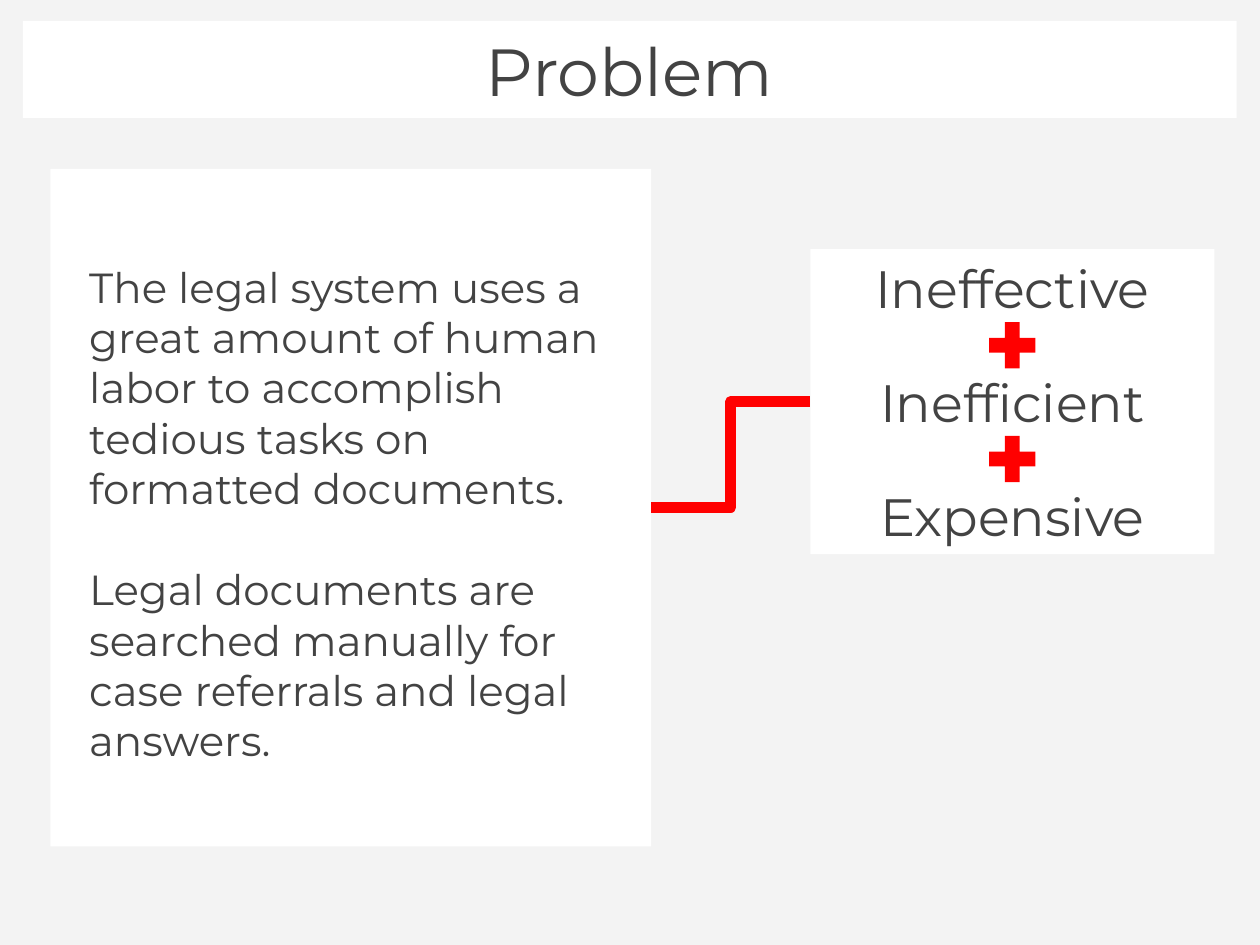
from lxml import etree
from pptx import Presentation
from pptx.dml.color import RGBColor
from pptx.enum.shapes import MSO_CONNECTOR, MSO_SHAPE
from pptx.enum.text import MSO_ANCHOR, PP_ALIGN
from pptx.oxml.ns import qn
from pptx.util import Pt

RECT, PLUS = MSO_SHAPE.RECTANGLE, MSO_SHAPE.MATH_PLUS
ELBOW = MSO_CONNECTOR.ELBOW
TOP, MIDDLE = MSO_ANCHOR.TOP, MSO_ANCHOR.MIDDLE
LEFT, CENTER = PP_ALIGN.LEFT, PP_ALIGN.CENTER

PALE = RGBColor(0xF3, 0xF3, 0xF3)
WHITE = RGBColor(0xFF, 0xFF, 0xFF)
DARK = RGBColor(0x43, 0x43, 0x43)
RED = RGBColor(0xFF, 0x00, 0x00)


def add_block(kind, x, y, w, h, color):
    shape = slide.shapes.add_shape(kind, Pt(x), Pt(y), Pt(w), Pt(h))
    shape.shadow.inherit = False
    shape.fill.solid()
    shape.fill.fore_color.rgb = color
    shape.line.fill.background()
    return shape


def write(shape, lines, size, align, anchor, inset, gap=0):
    """Fill a shape with one paragraph per line, gap points apart."""
    frame = shape.text_frame
    frame.text = "\n".join(lines)
    form = {
        "word_wrap": True,
        "vertical_anchor": anchor,
        "margin_left": Pt(7.2),
        "margin_right": Pt(7.2),
        "margin_top": Pt(inset),
        "margin_bottom": Pt(inset),
    }
    for name, value in form.items():
        setattr(frame, name, value)
    for i, para in enumerate(frame.paragraphs):
        para.alignment = align
        para.space_before = Pt(gap if i else 0)
        font = para.runs[0].font
        font.name, font.size = "Montserrat", Pt(size)
        font.color.rgb = DARK


prs = Presentation()
prs.slide_width, prs.slide_height = Pt(720), Pt(540)
slide = prs.slides.add_slide(prs.slide_layouts[5])
slide.background.fill.solid()
slide.background.fill.fore_color.rgb = PALE

# Title bar
title = slide.shapes.title
place = {"left": 13, "top": 12, "width": 693.6, "height": 55.4}
for name, value in place.items():
    setattr(title, name, Pt(value))
title.fill.solid()
title.fill.fore_color.rgb = WHITE
write(title, ["Problem"], 38, CENTER, MIDDLE, 3.6)

# Problem statement
panel = add_block(RECT, 28.8, 96.5, 343.4, 387.2, WHITE)
story = slide.shapes.add_textbox(Pt(43.9), Pt(142), Pt(313.2), Pt(341.3))
write(story, [
    "The legal system uses a great amount of human labor to accomplish "
    "tedious tasks on formatted documents.",
    "Legal documents are searched manually for case referrals and legal "
    "answers.",
], 24, LEFT, TOP, 7.2, gap=29)

# Flaws, stacked with a plus between each pair
BOX_X, BOX_Y, BOX_W, STEP = 463, 142, 231, 65
PLUS_SIZE = 36
box = add_block(RECT, BOX_X, BOX_Y + 0.4, BOX_W, 174.2, WHITE)
flaws = ["Ineffective", "Inefficient", "Expensive"]
for i, flaw in enumerate(flaws):
    y = BOX_Y + i * STEP
    label = slide.shapes.add_textbox(Pt(BOX_X), Pt(y), Pt(BOX_W), Pt(44.6))
    write(label, [flaw], 30, CENTER, MIDDLE, 7.2)
    if i:
        plus = add_block(PLUS, BOX_X + (BOX_W - PLUS_SIZE) / 2, y - 27.7,
                         PLUS_SIZE, PLUS_SIZE, RED)
        plus.adjustments[0] = 0.235

# Link from the statement to its flaws
link = slide.shapes.add_connector(ELBOW, Pt(372.2), Pt(290.1),
                                  Pt(BOX_X), Pt(229.5))
link.begin_connect(panel, 3)
link.end_connect(box, 1)
link.line.color.rgb = RED
link.line.width = Pt(6)
etree.SubElement(link._element.spPr, qn("a:effectLst"))

prs.save("out.pptx")
